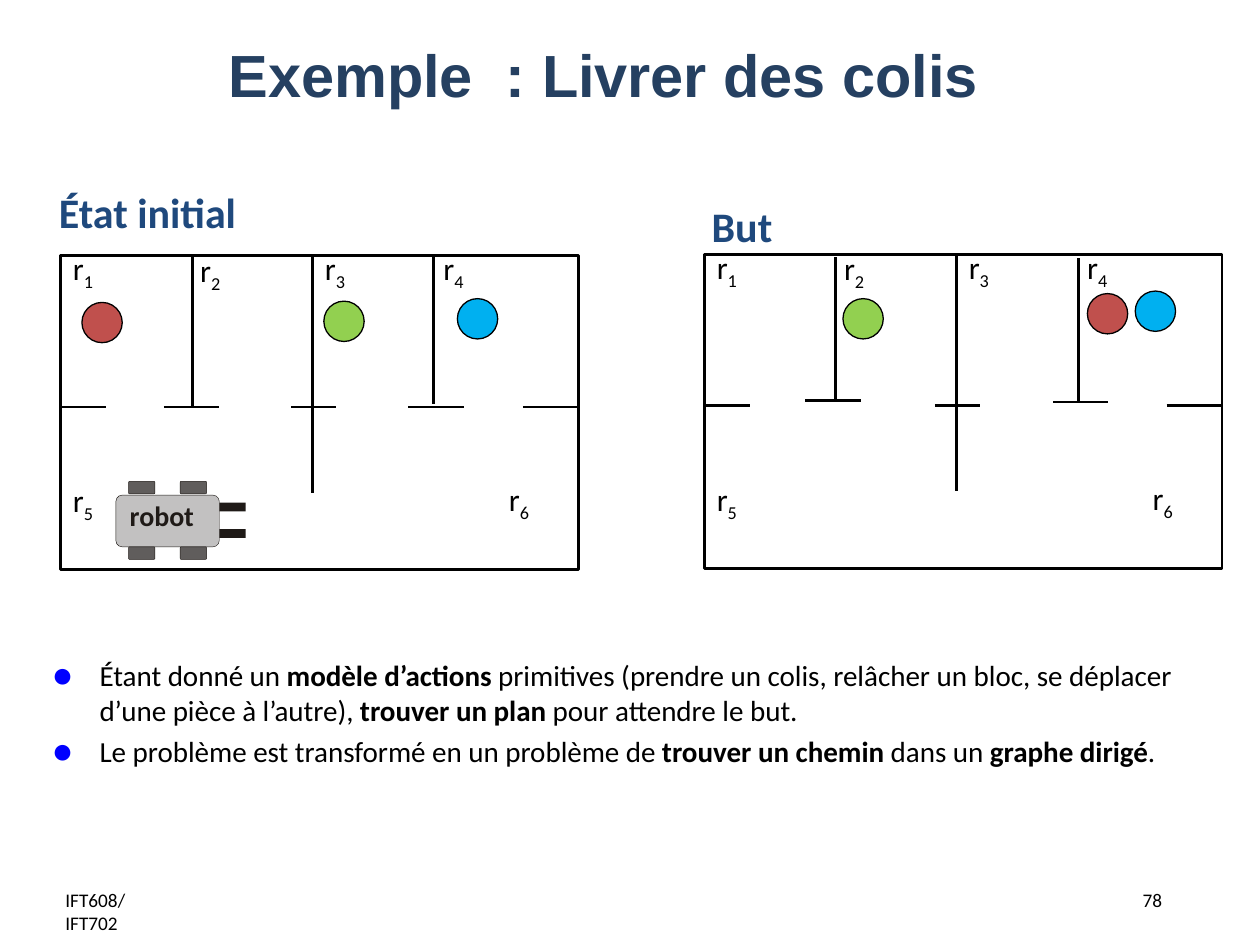
from lxml.etree import SubElement
from pptx import Presentation
from pptx.dml.color import RGBColor
from pptx.enum.shapes import MSO_CONNECTOR, MSO_SHAPE
from pptx.enum.text import MSO_ANCHOR, MSO_AUTO_SIZE, PP_ALIGN
from pptx.oxml.ns import qn
from pptx.util import Inches, Pt

BLACK, DARK, GREY, WHEEL = "000000", "1F1A17", "C2C1C1", "605D5C"
RED, GREEN, BLUE = "C0504D", "92D050", "00B0F0"
HEADING = "1F497D"

TITLE = "Exemple  : Livrer des colis"
# Each bullet is a list of (text, bold)
BULLETS = [
    [("Étant donné un ", False), ("modèle d’actions ", True),
     ("primitives (prendre un colis, relâcher un bloc, se déplacer d’une pièce à l’autre), ", False),
     ("trouver un plan ", True), ("pour attendre le but.", False)],
    [("Le problème est transformé en un problème de ", False),
     ("trouver un chemin ", True), ("dans un ", False),
     ("graphe dirigé", True), (".", False)],
]

PLAN_SIZE = (4.11, 2.49)
# Positions inside a plan are measured from its top left corner
ROOMS = {"1": (0, -0.1), "2": (1.01, -0.09), "3": (2, -0.1),
         "4": (2.94, -0.1), "5": (0, 1.74), "6": (3.46, 1.73)}
SHARED_WALLS = [(2, 0, 2, 1.88), (0, 1.2, 0.36, 1.2),
                (3.67, 1.2, 4.11, 1.2), (1.83, 1.2, 2.19, 1.2)]
PLANS = [
    {"name": "État initial", "name_at": (0.37, 1.43, 1.63), "origin": (0.48, 2.03),
     "walls": [(0.82, 1.2, 1.26, 1.2), (1.05, 0.01, 1.05, 1.19),
               (2.76, 1.2, 3.2, 1.2), (2.96, 0, 2.96, 1.18)],
     "parcels": [(BLUE, 3.15, 0.34), (GREEN, 2.09, 0.36), (RED, 0.17, 0.37)]},
    {"name": "But", "name_at": (5.55, 1.54, 0.69), "origin": (5.59, 2.02),
     "walls": [(0.8, 1.16, 1.24, 1.16), (1.04, 0.02, 1.04, 1.15),
               (2.77, 1.17, 3.2, 1.17), (2.97, 0.03, 2.97, 1.16)],
     "parcels": [(RED, 3.04, 0.31), (GREEN, 1.1, 0.35), (BLUE, 3.42, 0.29)]},
]
PARCEL = 0.32
WHEEL_LEFTS, WHEEL_TOPS = (1.02, 1.43), (3.82, 4.34)
ARM_TOPS = (3.99, 4.2)
FOOTERS = [("IFT608/IFT702", (0.42, 7, 0.75, 0.29)), ("78", (8.97, 7, 0.53, 0.3))]


def rgb(value):
    return RGBColor.from_string(value)


def style(run, size, color=BLACK, bold=False, font="Calibri"):
    run.font.name, run.font.size, run.font.bold = font, Pt(size), bold
    run.font.color.rgb = rgb(color)


def add_preset(slide, kind, box, fill=None, line=None, width=1.5):
    shape = slide.shapes.add_shape(kind, *map(Inches, box))
    shape.shadow.inherit = False
    if fill:
        shape.fill.solid()
        shape.fill.fore_color.rgb = rgb(fill)
    else:
        shape.fill.background()
    if line:
        shape.line.color.rgb = rgb(line)
        shape.line.width = Pt(width)
    else:
        shape.line.fill.background()
    return shape


def add_wall(slide, ends):
    wall = slide.shapes.add_connector(MSO_CONNECTOR.STRAIGHT, *map(Inches, ends))
    wall.line.color.rgb = rgb(BLACK)
    wall.line.width = Pt(1.5)
    SubElement(wall._element.spPr, qn("a:effectLst"))


def add_text(slide, text, box, size, color=BLACK, bold=False, wrap=False):
    frame = slide.shapes.add_textbox(*map(Inches, box)).text_frame
    frame.word_wrap = wrap
    frame.text = text
    style(frame.paragraphs[0].runs[0], size, color, bold)
    return frame


def add_room_label(slide, number, left, top):
    paragraph = add_text(slide, "r", (left, top, 0.51, 0.62), 18).paragraphs[0]
    index = paragraph.add_run()
    index.text = number
    style(index, 18)
    index.font._element.set("baseline", "-25000")


def add_plan(slide, plan):
    x, y = plan["origin"]
    add_preset(slide, MSO_SHAPE.RECTANGLE, (x, y, *PLAN_SIZE), line=BLACK)
    for x1, y1, x2, y2 in SHARED_WALLS + plan["walls"]:
        add_wall(slide, (x + x1, y + y1, x + x2, y + y2))
    for number, (dx, dy) in ROOMS.items():
        add_room_label(slide, number, x + dx, y + dy)
    for color, dx, dy in plan["parcels"]:
        add_preset(slide, MSO_SHAPE.OVAL, (x + dx, y + dy, PARCEL, PARCEL), color, BLACK, 0.75)
    add_text(slide, plan["name"], (*plan["name_at"], 0.5), 24, HEADING, True)


def add_robot(slide):
    rounded = MSO_SHAPE.ROUNDED_RECTANGLE
    add_preset(slide, rounded, (0.92, 3.93, 0.82, 0.41), GREY, DARK, 0.25).adjustments[0] = 0.12
    for left in WHEEL_LEFTS:
        for top in WHEEL_TOPS:
            wheel = add_preset(slide, rounded, (left, top, 0.21, 0.1), WHEEL, DARK, 0.25)
            wheel.adjustments[0] = 0.1
    for top in ARM_TOPS:
        add_preset(slide, MSO_SHAPE.RECTANGLE, (1.74, top, 0.21, 0.07), DARK)
    label = add_text(slide, "robot", (1.03, 3.96, 0.57, 0.27), 16, DARK, True)
    label.margin_left = label.margin_right = label.margin_top = label.margin_bottom = 0


def place(placeholder, box):
    placeholder.left, placeholder.top, placeholder.width, placeholder.height = map(Inches, box)
    placeholder.text_frame.auto_size = MSO_AUTO_SIZE.NONE
    return placeholder.text_frame


def fill_title(slide):
    frame = place(slide.shapes.title, (0.31, 0.17, 8.96, 0.83))
    frame.text = TITLE
    frame.vertical_anchor = MSO_ANCHOR.MIDDLE
    frame.paragraphs[0].alignment = PP_ALIGN.CENTER
    style(frame.paragraphs[0].runs[0], 34, "254061", True, "Arial")


def fill_bullets(slide):
    frame = place(slide.placeholders[1], (0.31, 5.17, 9.25, 1.12))
    for position, parts in enumerate(BULLETS):
        paragraph = frame.add_paragraph() if position else frame.paragraphs[0]
        paragraph.space_before = Pt(3.3 if position else 0)
        properties = paragraph._p.get_or_add_pPr()
        properties.set("marL", str(Inches(0.38)))
        properties.set("indent", str(-Inches(0.38)))
        color = SubElement(properties, qn("a:buClr"))
        SubElement(color, qn("a:srgbClr"), val="0000FF")
        SubElement(properties, qn("a:buSzPct"), val="125000")
        SubElement(properties, qn("a:buFont"), typeface="Arial")
        SubElement(properties, qn("a:buChar"), char="●")
        for text, bold in parts:
            run = paragraph.add_run()
            run.text = text
            style(run, 16.6, bold=bold)


def main():
    presentation = Presentation()
    presentation.slide_width, presentation.slide_height = Inches(10), Inches(7.5)
    slide = presentation.slides.add_slide(presentation.slide_layouts[1])
    fill_title(slide)
    fill_bullets(slide)
    for plan in PLANS:
        add_plan(slide, plan)
    add_robot(slide)
    for text, box in FOOTERS:
        add_text(slide, text, box, 11, wrap=True)
    presentation.save("out.pptx")


if __name__ == "__main__":
    main()
